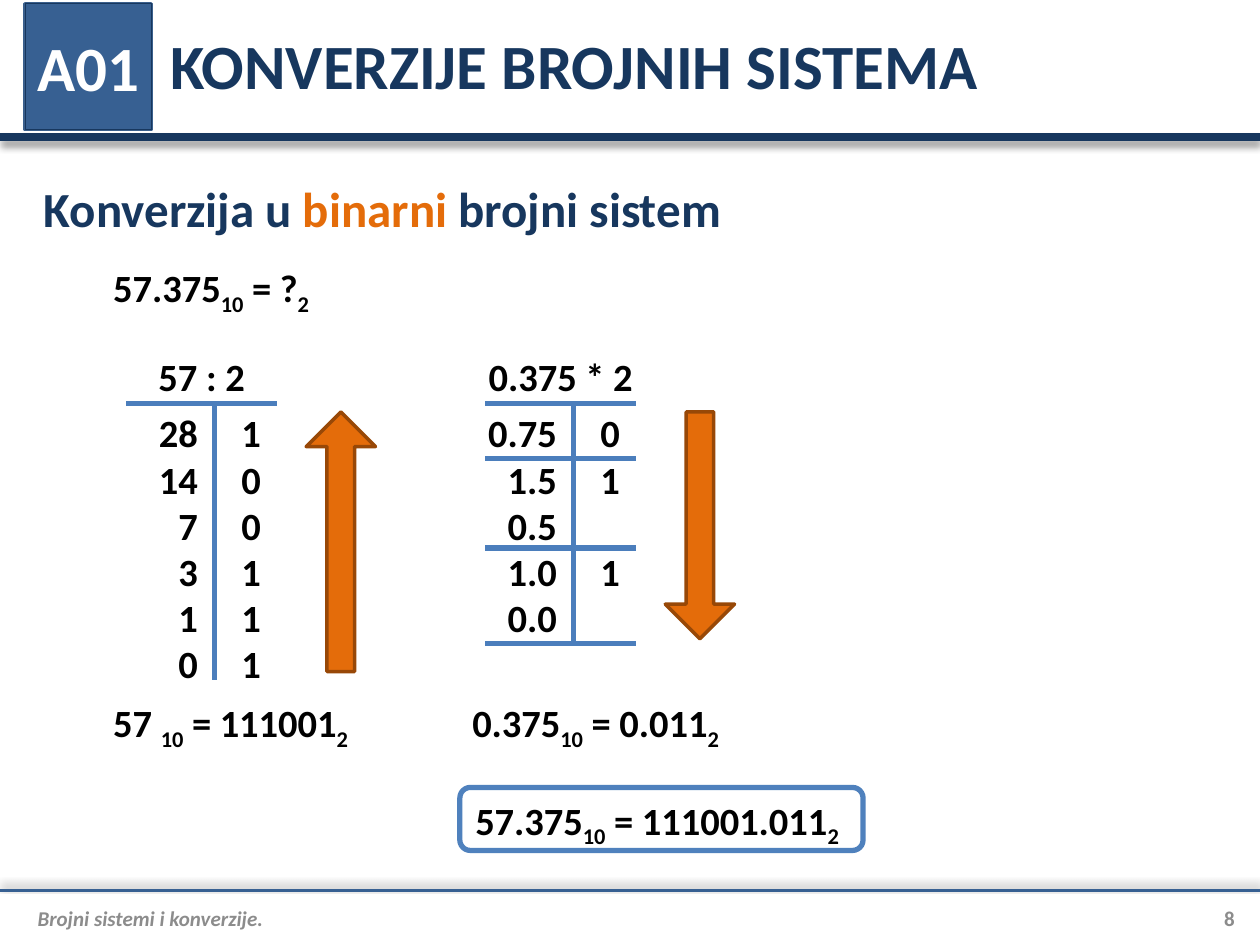
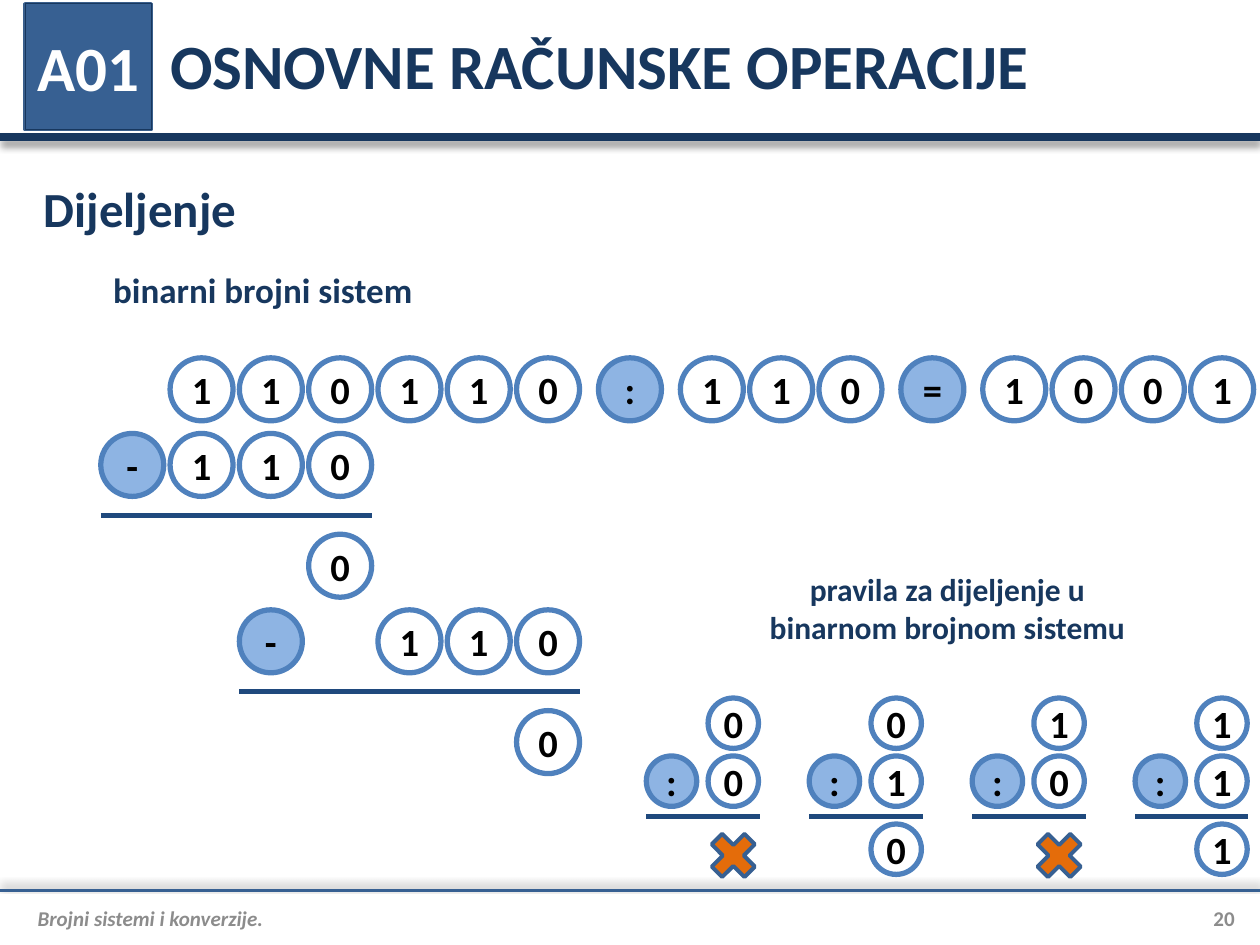
from lxml import etree
from pptx import Presentation
from pptx.dml.color import RGBColor
from pptx.enum.shapes import MSO_CONNECTOR, MSO_SHAPE
from pptx.enum.text import MSO_ANCHOR, MSO_AUTO_SIZE, PP_ALIGN
from pptx.oxml.ns import qn
from pptx.util import Inches, Pt

LEFT, CENTER, RIGHT = PP_ALIGN.LEFT, PP_ALIGN.CENTER, PP_ALIGN.RIGHT
TOP, MIDDLE = MSO_ANCHOR.TOP, MSO_ANCHOR.MIDDLE
RECT, OVAL, CROSS = MSO_SHAPE.RECTANGLE, MSO_SHAPE.OVAL, MSO_SHAPE.MATH_MULTIPLY
ROUNDED = MSO_SHAPE.FLOWCHART_ALTERNATE_PROCESS
UP, DOWN = MSO_SHAPE.UP_ARROW, MSO_SHAPE.DOWN_ARROW
STRAIGHT = MSO_CONNECTOR.STRAIGHT


class Theme:
    font = "Calibri"
    navy, blue, ring, rule = "17375E", "376092", "4F81BD", "4B7EBC"
    sum_line, operator, badge_edge = "1F497D", "8EB4E3", "3A5F8C"
    orange, brown = "E46C0A", "984807"
    black, white, grey = "000000", "FFFFFF", "8C8C8C"
    title, heading, sub_heading, note, body, footer = 36, 28, 20, 18, 22, 12


# ---- Content ----
W, H = 10, 7.5
BADGE = "A01"
FOOTER = "Brojni sistemi i konverzije."
SUB = {"base": -25}
ACCENT = {"color": Theme.orange}

CONVERSION = {
    "title": "KONVERZIJE BROJNIH SISTEMA",
    "number": "8",
    "heading": ["Konverzija u ", ("binarni ", ACCENT), "brojni sistem"],
    "question": ["57.375", ("10", SUB), " = ?", ("2", SUB)],
    "answer": ["57.375", ("10", SUB), " = 111001.011", ("2", SUB)],
    "ladders": [
        {"left": 1, "head": "57 : 2", "arrow": UP, "arrow_height": 2.06,
         "rows": [("28", "1"), ("14", "0"), ("7", "0"),
                  ("3", "1"), ("1", "1"), ("0", "1")],
         "bottom": 5.4, "cuts": [],
         "result": ["57 ", ("10", SUB), " = 111001", ("2", SUB)]},
        {"left": 3.85, "head": "0.375 * 2", "arrow": DOWN, "arrow_height": 1.8,
         "rows": [("0.75", "0"), ("1.5", "1"), ("0.5",), ("1.0", "1"), ("0.0",)],
         "bottom": 5.1, "cuts": [3.64, 4.35, 5.11],
         "result": ["0.375", ("10", SUB), " = 0.011", ("2", SUB)]},
    ],
}

DIVISION = {
    "title": "OSNOVNE RAČUNSKE OPERACIJE",
    "number": "20",
    "heading": ["Dijeljenje"],
    "sub_heading": ["binarni brojni sistem"],
    # (first column, symbols, sum line below)
    "steps": [(1, "110110:110=1001", False), (0, "-110", True), (3, "0", False),
              (2, "- 110", True), (6, "0", False)],
    "rules_note": [["pravila za dijeljenje u"], ["binarnom brojnom sistemu"]],
    # dividend, divisor, quotient (None where undefined)
    "rules": [("0", "0", None), ("0", "1", "0"), ("1", "0", None), ("1", "1", "1")],
}


# ---- Drawing helpers ----
def rgb(value):
    return RGBColor.from_string(value)


def box(*lengths):
    return [Inches(n) for n in lengths]


def write(shape, paras, size, color=Theme.black, align=LEFT, anchor=TOP,
          insets=(0.1, 0.05, 0.1, 0.05), italic=None):
    """Each paragraph is a list of runs: text, or (text, overrides)."""
    tf = shape.text_frame
    sides = zip(("left", "top", "right", "bottom"), insets)
    frame = {"word_wrap": True, "auto_size": MSO_AUTO_SIZE.NONE,
             "vertical_anchor": anchor,
             **{f"margin_{side}": Inches(n) for side, n in sides}}
    for name, value in frame.items():
        setattr(tf, name, value)
    for i, runs in enumerate(paras):
        p = tf.paragraphs[0] if i == 0 else tf.add_paragraph()
        p.alignment = align
        for run in runs:
            text, extra = (run, {}) if isinstance(run, str) else run
            r = p.add_run()
            r.text = text
            font = {"name": Theme.font, "size": Pt(size), "bold": True, "italic": italic}
            for name, value in font.items():
                setattr(r.font, name, value)
            r.font.color.rgb = rgb(extra.get("color", color))
            if "base" in extra:
                r.font._element.set("baseline", str(extra["base"] * 1000))
    return tf


def add_text(s, at, paras, size, **style):
    return write(s.shapes.add_textbox(*box(*at)), paras, size, **style)


def paint(shape, fill, line, width):
    if fill:
        shape.fill.solid()
        shape.fill.fore_color.rgb = rgb(fill)
    else:
        shape.fill.background()
    shape.line.color.rgb = rgb(line)
    shape.line.width = Pt(width)
    shape.shadow.inherit = False


def add_shape(s, kind, at, fill, line, width):
    sp = s.shapes.add_shape(kind, *box(*at))
    paint(sp, fill, line, width)
    return sp


def add_line(s, x1, y1, x2, y2, color, width=3, shadow_angle=None):
    line = s.shapes.add_connector(STRAIGHT, *box(x1, y1, x2, y2))
    line.line.color.rgb = rgb(color)
    line.line.width = Pt(width)
    effects = etree.SubElement(line._element.spPr, qn("a:effectLst"))
    if shadow_angle is not None:
        shadow = etree.SubElement(effects, qn("a:outerShdw"), blurRad=str(Pt(4)),
                                  dist=str(Pt(3)), dir=str(shadow_angle * 60000),
                                  rotWithShape="0")
        tint = etree.SubElement(shadow, qn("a:srgbClr"), val=Theme.black)
        etree.SubElement(tint, qn("a:alpha"), val="40000")
    return line


def add_circle(s, x, y, size, symbol):
    fill = None if symbol.isdigit() else Theme.operator
    sp = add_shape(s, OVAL, (x, y, size, size), fill, Theme.ring, 3)
    write(sp, [[symbol]], Theme.body, align=CENTER, anchor=MIDDLE, insets=(0,) * 4)


# ---- Shared frame ----
BADGE_AT = (0.2, 0.03, 1, 1)


def decorate_layout(layout, s):
    """Draw the bands and badge base, then hand them to the layout."""
    parts = [add_line(s, 0, 1.09, W, 1.09, Theme.navy, 4.5, 90),
             add_line(s, 0, 7.07, W, 7.07, Theme.blue, 1.5, 270),
             add_shape(s, RECT, BADGE_AT, Theme.ring, Theme.badge_edge, 2)]
    for part in parts:
        layout.shapes._spTree.append(part._element)


def place(shape, at):
    for name, value in zip(("left", "top", "width", "height"), box(*at)):
        setattr(shape, name, value)


def start_slide(prs, layout, content):
    s = prs.slides.add_slide(layout)
    title, badge = s.shapes.title, s.placeholders[1]
    place(title, (1.25, 0.01, 8.55, 1))
    write(title, [[content["title"]]], Theme.title, color=Theme.navy, anchor=MIDDLE)
    place(badge, BADGE_AT)
    badge_fill = badge.fill
    badge_fill.solid()
    badge_fill.fore_color.rgb = rgb(Theme.blue)
    badge.line.color.rgb = rgb(Theme.navy)
    badge.line.width = Pt(0.75)
    tf = write(badge, [[BADGE]], Theme.title, color=Theme.white, align=CENTER,
               anchor=MIDDLE, insets=(0,) * 4)
    etree.SubElement(tf.paragraphs[0]._p.get_or_add_pPr(), qn("a:buNone"))

    add_text(s, (0.2, 7.11, 9.1, 0.35), [[FOOTER]], Theme.footer, color=Theme.grey,
             anchor=MIDDLE, insets=(0.1, 0, 0, 0), italic=True)
    add_text(s, (9.3, 7.11, 0.5, 0.35), [[content["number"]]], Theme.footer,
             color=Theme.grey, align=RIGHT, anchor=MIDDLE, insets=(0,) * 4)
    add_text(s, (0.25, 1.4, 9.4, 0.5), [content["heading"]], Theme.heading,
             color=Theme.navy, anchor=MIDDLE)
    return s


# ---- Conversion slide ----
def add_ladder(s, left, head, rows, bottom, cuts, arrow, arrow_height, result):
    top, width, split = 3.2, 1.2, 0.7
    add_text(s, (left - 0.11, 2.75, 1.42, 0.5), [[head]], Theme.body, align=CENTER)
    tf = add_text(s, (left - 0.05, top, 1.42, 0.2 + 0.36 * len(rows)),
                  [["\t" + "\t".join(row)] for row in rows], Theme.body,
                  insets=(0, 0.05, 0, 0.05))
    for p in tf.paragraphs:
        tabs = etree.SubElement(p._p.get_or_add_pPr(), qn("a:tabLst"))
        for stop in (0.62, 1.12):
            etree.SubElement(tabs, qn("a:tab"), pos=str(Inches(stop)), algn="r")
    for y in (top, *cuts):
        add_line(s, left, y, left + width, y, Theme.rule)
    add_line(s, left + split, top, left + split, bottom, Theme.rule)
    sp = add_shape(s, arrow, (left + 1.43, 3.27, 0.55, arrow_height),
                   Theme.orange, Theme.brown, 2)
    sp.adjustments[0], sp.adjustments[1] = 0.4, 0.5
    add_text(s, (left - 0.2, 5.5, 2.8, 0.5), [result], Theme.body)


def build_conversion(s, content):
    add_text(s, (0.8, 2.05, 2.03, 0.5), [content["question"]], Theme.body)
    for ladder in content["ladders"]:
        add_ladder(s, **ladder)
    sp = add_shape(s, ROUNDED, (3.65, 6.25, 3.2, 0.5), None, Theme.ring, 3)
    write(sp, [content["answer"]], Theme.body)


# ---- Division slide ----
def add_steps(s, steps):
    left, y, size, pitch, gap = 0.8, 2.84, 0.5, 0.55, 0.1
    for column, symbols, has_line in steps:
        start = x = left + column * pitch
        for symbol in symbols:
            around = gap if symbol in ":=" else 0
            x += around
            if symbol != " ":
                add_circle(s, x, y, size, symbol)
            x += pitch + around
        if has_line:
            add_line(s, start, y + 0.65, x - pitch + size, y + 0.65, Theme.sum_line)
        y += 0.8 if has_line else 0.6


def add_rules(s, rules):
    left, pitch, size, shift = 5.13, 1.293, 0.4, 0.49
    for i, (dividend, divisor, quotient) in enumerate(rules):
        x = left + i * pitch
        add_circle(s, x + shift, 5.54, size, dividend)
        add_circle(s, x, 6, size, ":")
        add_circle(s, x + shift, 6, size, divisor)
        add_line(s, x, 6.48, x + 0.9, 6.48, Theme.sum_line)
        if quotient is None:
            add_shape(s, CROSS, (x + shift - 0.05, 6.54, 0.5, 0.5),
                      Theme.orange, Theme.blue, 2.25)
        else:
            add_circle(s, x + shift, 6.54, size, quotient)


def build_division(s, content):
    add_text(s, (0.8, 2.05, 3.87, 0.5), [content["sub_heading"]], Theme.sub_heading,
             color=Theme.navy, anchor=MIDDLE)
    add_steps(s, content["steps"])
    add_text(s, (5.97, 4.47, 3.1, 0.71), content["rules_note"], Theme.note,
             color=Theme.navy, align=CENTER, anchor=MIDDLE)
    add_rules(s, content["rules"])


def main():
    prs = Presentation()
    prs.slide_width, prs.slide_height = box(W, H)
    layout = prs.slide_layouts[1]
    conversion = start_slide(prs, layout, CONVERSION)
    decorate_layout(layout, conversion)
    build_conversion(conversion, CONVERSION)
    build_division(start_slide(prs, layout, DIVISION), DIVISION)
    prs.save("out.pptx")


if __name__ == "__main__":
    main()
